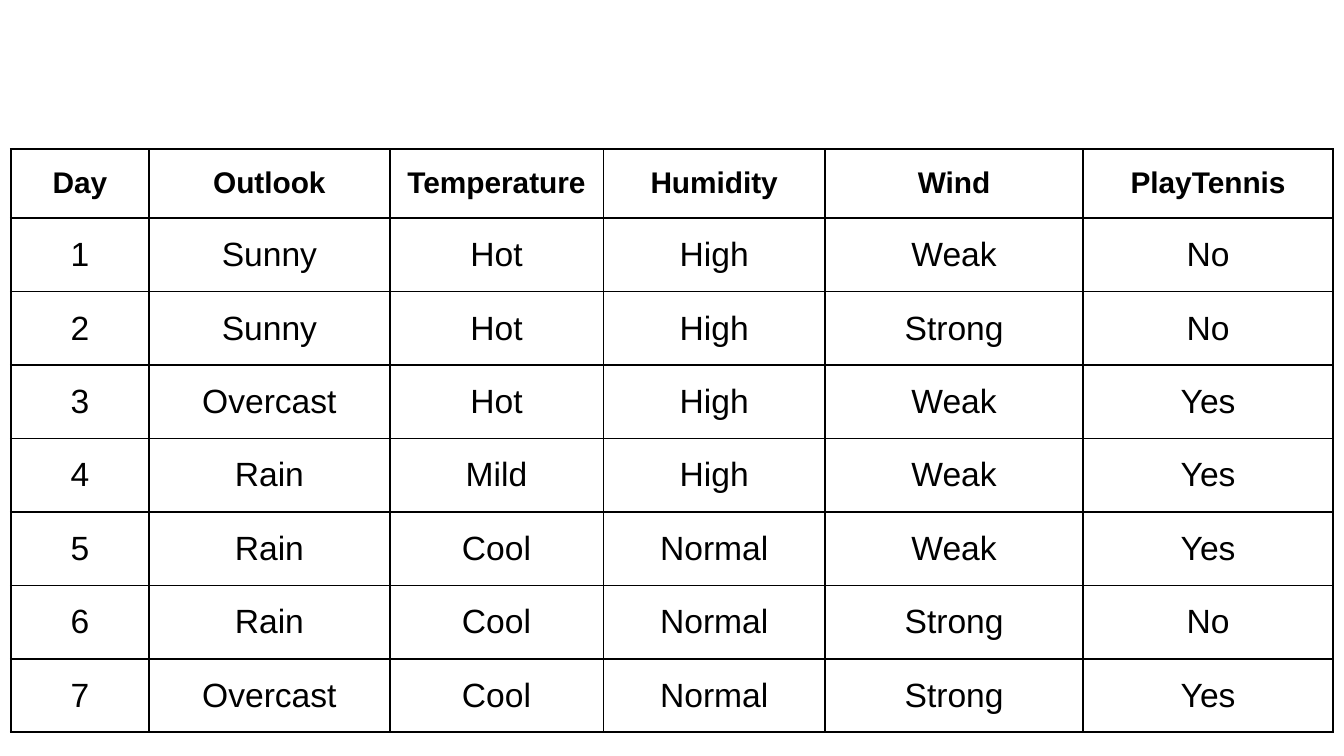
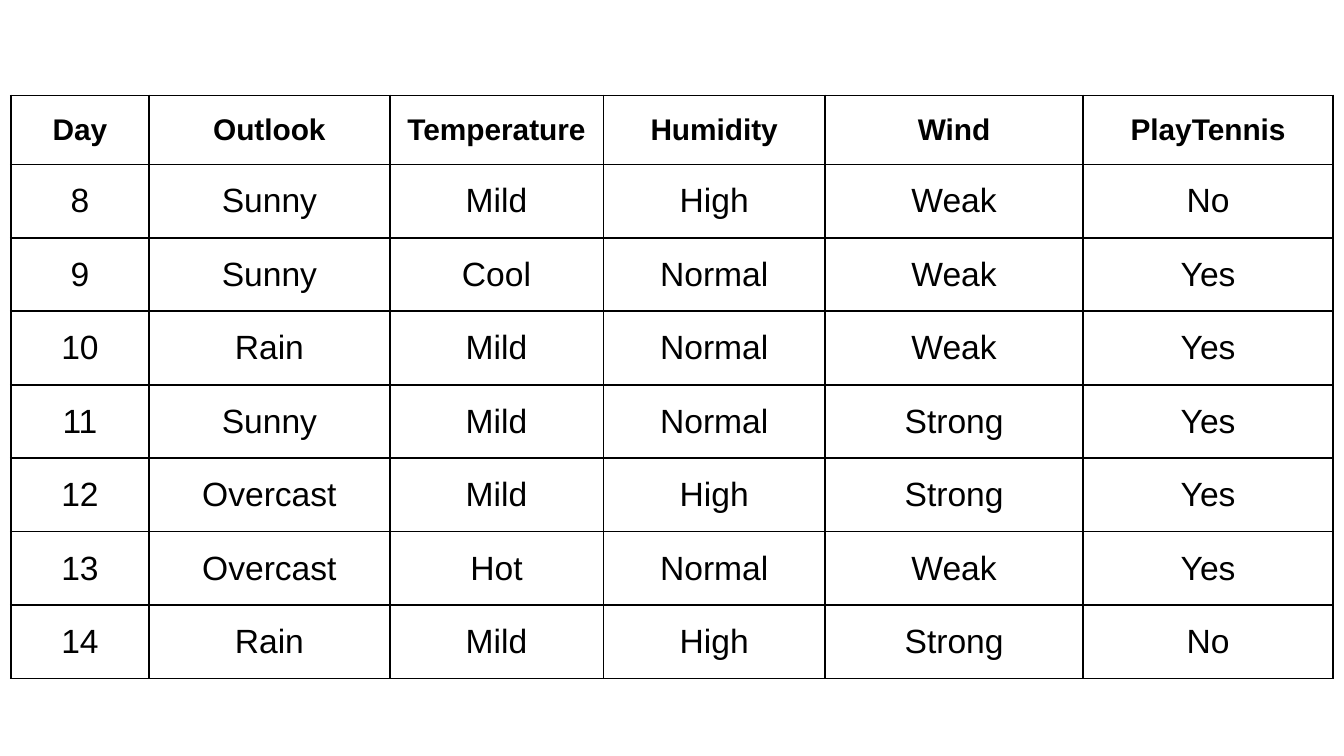
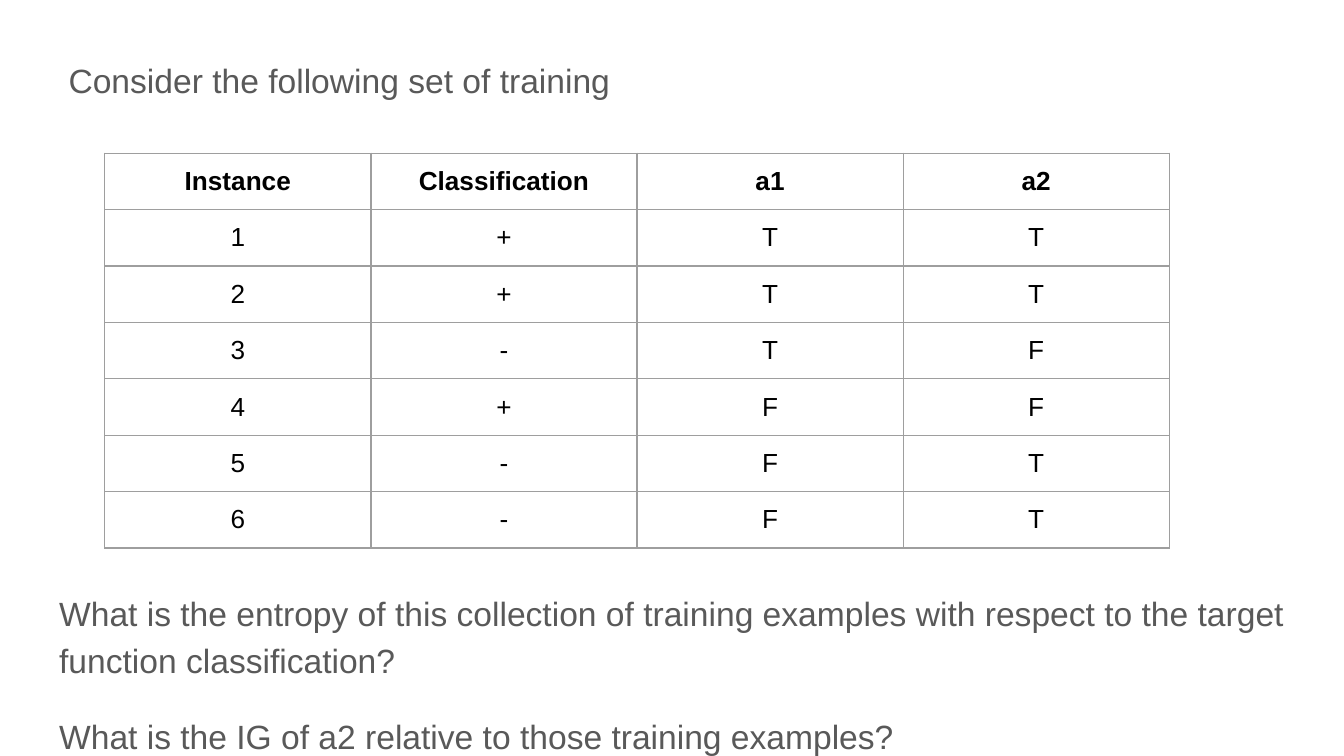
"""Build three slides of decision-tree training data and entropy questions."""
from lxml.etree import SubElement
from pptx import Presentation
from pptx.dml.color import RGBColor
from pptx.enum.text import MSO_ANCHOR as Anchor, MSO_AUTO_SIZE as AutoSize, PP_ALIGN as Align
from pptx.oxml.ns import qn
from pptx.util import Inches, Pt

BLACK = RGBColor(0x00, 0x00, 0x00)
GRAY = RGBColor(0x9E, 0x9E, 0x9E)
TEXT_GRAY = RGBColor(0x59, 0x59, 0x59)
FONT = "Arial"
SLIDE_WIDTH = Inches(10)
SLIDE_HEIGHT = SLIDE_WIDTH * 9 // 16
CONTENT_LAYOUT, BLANK_LAYOUT = 1, 6

TENNIS_HEADER = ("Day", "Outlook", "Temperature", "Humidity", "Wind", "PlayTennis")
FIRST_WEEK = (
    ("1", "Sunny", "Hot", "High", "Weak", "No"),
    ("2", "Sunny", "Hot", "High", "Strong", "No"),
    ("3", "Overcast", "Hot", "High", "Weak", "Yes"),
    ("4", "Rain", "Mild", "High", "Weak", "Yes"),
    ("5", "Rain", "Cool", "Normal", "Weak", "Yes"),
    ("6", "Rain", "Cool", "Normal", "Strong", "No"),
    ("7", "Overcast", "Cool", "Normal", "Strong", "Yes"),
)
SECOND_WEEK = (
    ("8", "Sunny", "Mild", "High", "Weak", "No"),
    ("9", "Sunny", "Cool", "Normal", "Weak", "Yes"),
    ("10", "Rain", "Mild", "Normal", "Weak", "Yes"),
    ("11", "Sunny", "Mild", "Normal", "Strong", "Yes"),
    ("12", "Overcast", "Mild", "High", "Strong", "Yes"),
    ("13", "Overcast", "Hot", "Normal", "Weak", "Yes"),
    ("14", "Rain", "Mild", "High", "Strong", "No"),
)
INSTANCES = (
    ("Instance", "Classification", "a1", "a2"),
    ("1", "+", "T", "T"),
    ("2", "+", "T", "T"),
    ("3", "-", "T", "F"),
    ("4", "+", "F", "F"),
    ("5", "-", "F", "T"),
    ("6", "-", "F", "T"),
)
QUESTIONS = (
    ("Consider the following set of training", 0, 0),
    ("What is the entropy of this collection of training examples "
     "with respect to the target function classification?", 261, 0),
    ("What is the IG of a2 relative to those training examples?", 16, 16),
)

TENNIS_STYLE = {
    "columns": (1.03, 1.79, 1.59, 1.65, 1.92, 1.86), "header_height": 0.46,
    "row_height": 0.41, "height": 4.5, "header_size": 16, "size": 18,
    "border": BLACK, "border_width": 1, "inset": 0.4 / 3, "anchor": Anchor.MIDDLE,
}
INSTANCE_STYLE = {
    "columns": (1.98,) * 4, "header_height": 0.42,
    "row_height": 0.42, "height": 3.03, "header_size": 14, "size": 14,
    "border": GRAY, "border_width": 0.75, "inset": 0.1, "anchor": Anchor.TOP,
}


def apply(target, formats):
    """Set every attribute named in the format dict."""
    for name, value in formats.items():
        setattr(target, name, value)


def style_font(font, size, color, bold=False):
    """Give a font the deck's typeface with its size, colour and weight."""
    apply(font, {"name": FONT, "size": Pt(size), "bold": bold})
    font.color.rgb = color


def draw_borders(cell, color, width):
    """Draw a solid line on all four sides of a cell."""
    properties = cell._tc.get_or_add_tcPr()
    for side in ("a:lnL", "a:lnR", "a:lnT", "a:lnB"):
        line = SubElement(properties, qn(side), w=str(Pt(width)))
        fill = SubElement(line, qn("a:solidFill"))
        SubElement(fill, qn("a:srgbClr"), val=str(color))


def fill_cell(cell, text, style, is_header):
    """Write one centred cell with its margins, borders and font."""
    inset = Inches(style["inset"])
    apply(cell, {
        "text": text, "vertical_anchor": style["anchor"],
        "margin_left": Inches(0.1), "margin_right": Inches(0.1),
        "margin_top": inset, "margin_bottom": inset,
    })
    draw_borders(cell, style["border"], style["border_width"])
    cell.fill.background()
    paragraph = cell.text_frame.paragraphs[0]
    paragraph.alignment = Align.CENTER
    size = style["header_size"] if is_header else style["size"]
    style_font(paragraph.runs[0].font, size, BLACK, is_header)


def add_data_table(slide, rows, left, top, style):
    """Add a bordered table whose first row is a bold header."""
    columns = style["columns"]
    frame = slide.shapes.add_table(
        len(rows), len(columns), Inches(left), Inches(top),
        Inches(sum(columns)), Inches(style["height"]))
    table = frame.table
    apply(table, {"first_row": False, "horz_banding": False})
    for column, width in zip(table.columns, columns):
        column.width = Inches(width)
    for index, values in enumerate(rows):
        is_header = index == 0
        table.rows[index].height = Inches(
            style["header_height"] if is_header else style["row_height"])
        for cell, text in zip(table.rows[index].cells, values):
            fill_cell(cell, text, style, is_header)
    frame.height = Inches(style["height"])


def add_questions(slide):
    """Fill the body placeholder with the introduction and the questions."""
    title = slide.shapes.title
    title._element.getparent().remove(title._element)
    body = slide.placeholders[1]
    apply(body, {"left": Inches(0.34), "top": Inches(0.3),
                 "width": Inches(9.32), "height": Inches(5.33)})
    frame = body.text_frame
    margins = dict.fromkeys(
        ("margin_left", "margin_right", "margin_top", "margin_bottom"), Inches(0.1))
    apply(frame, {"word_wrap": True, "auto_size": AutoSize.NONE,
                  "vertical_anchor": Anchor.TOP, **margins})
    frame.text = "\n".join(text for text, _, _ in QUESTIONS)
    for index, (paragraph, question) in enumerate(zip(frame.paragraphs, QUESTIONS)):
        _, before, after = question
        apply(paragraph, {"line_spacing": 1.15, "space_before": Pt(before),
                          "space_after": Pt(after), "alignment": Align.LEFT})
        properties = paragraph._p.get_or_add_pPr()
        properties.set("marL", "0")
        properties.set("indent", str(Inches(0.07) if index == 0 else 0))
        SubElement(properties, qn("a:buNone"))
        style_font(paragraph.runs[0].font, 18, TEXT_GRAY)


def main():
    """Build the slides and save the deck."""
    deck = Presentation()
    apply(deck, {"slide_width": SLIDE_WIDTH, "slide_height": SLIDE_HEIGHT})
    for week, top in ((FIRST_WEEK, 1.11), (SECOND_WEEK, 0.71)):
        week_slide = deck.slides.add_slide(deck.slide_layouts[BLANK_LAYOUT])
        add_data_table(week_slide, (TENNIS_HEADER, *week), 0.08, top, TENNIS_STYLE)
    entropy_slide = deck.slides.add_slide(deck.slide_layouts[CONTENT_LAYOUT])
    add_questions(entropy_slide)
    add_data_table(entropy_slide, INSTANCES, 0.78, 1.14, INSTANCE_STYLE)
    deck.save("out.pptx")


if __name__ == "__main__":
    main()
